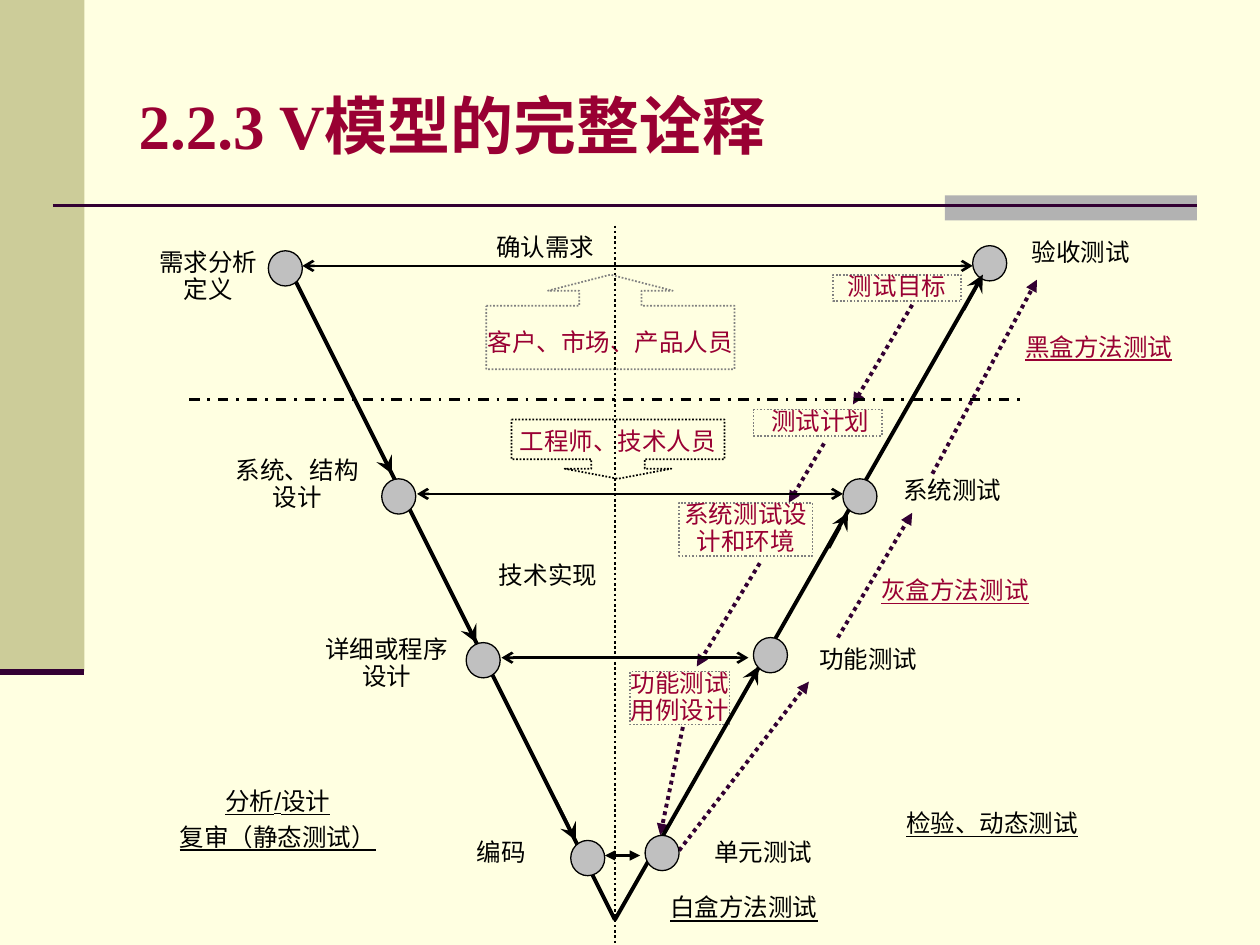
from pptx import Presentation
from pptx.dml.color import RGBColor
from pptx.enum.dml import MSO_LINE
from pptx.enum.shapes import MSO_CONNECTOR, MSO_SHAPE
from pptx.enum.text import MSO_ANCHOR, MSO_AUTO_SIZE, PP_ALIGN
from pptx.oxml.ns import qn
from pptx.util import Inches, Pt
from lxml.etree import SubElement

CREAM = RGBColor(0xFF, 0xFF, 0xE1)
KHAKI = RGBColor(0xCC, 0xCC, 0x99)
SILVER = RGBColor(0xB2, 0xB2, 0xB2)
NODE_GRAY = RGBColor(0xC0, 0xC0, 0xC0)
GRAY = RGBColor(0x80, 0x80, 0x80)
PLUM = RGBColor(0x33, 0x00, 0x33)
CRIMSON = RGBColor(0x99, 0x00, 0x33)
BLACK = RGBColor(0, 0, 0)

COLUMNS, ROWS = 100, 75
DOTTED = MSO_LINE.ROUND_DOT


class DiagramSlide:
    body_font = "Arial"
    title_font = "Times New Roman"
    callout_font = "Montserrat"
    body_size = 14
    line_height = 2.1
    node_size = (2.7, 2.8)

    def __init__(self, presentation):
        self.column = presentation.slide_width / COLUMNS
        self.row = presentation.slide_height / ROWS
        self.slide = presentation.slides.add_slide(presentation.slide_layouts[5])
        fill = self.slide.background.fill
        fill.solid()
        fill.fore_color.rgb = CREAM

    def point(self, column, row):
        return round(column * self.column), round(row * self.row)

    def box(self, column, row, width, height):
        return *self.point(column, row), *self.point(width, height)

    def add_run(self, paragraph, text, color, font, size, bold=False, underline=False):
        run = paragraph.add_run()
        run.text = text
        run.font.name = font
        run.font.size = Pt(size)
        run.font.bold = bold
        run.font.underline = underline
        run.font.color.rgb = color

    def title(self, text, box):
        shape = self.slide.shapes.title
        shape.left, shape.top, shape.width, shape.height = self.box(*box)
        shape.text_frame.auto_size = MSO_AUTO_SIZE.NONE
        shape.text_frame.vertical_anchor = MSO_ANCHOR.MIDDLE
        paragraph = shape.text_frame.paragraphs[0]
        paragraph.alignment = PP_ALIGN.LEFT
        paragraph.line_spacing = 1.2
        self.add_run(paragraph, text, CRIMSON, self.title_font, 36, bold=True)

    def shape(self, kind, box, fill=None, outline=None, width=1, dash=None):
        shape = self.slide.shapes.add_shape(kind, *self.box(*box))
        shape.shadow.inherit = False
        if fill is None:
            shape.fill.background()
        else:
            shape.fill.solid()
            shape.fill.fore_color.rgb = fill
        if outline is None:
            shape.line.fill.background()
        else:
            shape.line.color.rgb = outline
            shape.line.width = Pt(width)
            shape.line.dash_style = dash
        return shape

    def line(self, start, end, color=BLACK, width=1.5, dash=None, head=None, tail=None, size="med"):
        connector = self.slide.shapes.add_connector(
            MSO_CONNECTOR.STRAIGHT, *self.point(*start), *self.point(*end))
        connector.line.color.rgb = color
        connector.line.width = Pt(width)
        connector.line.dash_style = dash
        outline = connector._element.spPr.find(qn("a:ln"))
        for tag, kind in (("a:headEnd", head), ("a:tailEnd", tail)):
            if kind:
                SubElement(outline, qn(tag), type=kind, w=size, len=size)
        SubElement(connector._element.spPr, qn("a:effectLst"))

    def add_lines(self, frame, lines, color, underline=False, spacing=0.9, before=0):
        frame.word_wrap = True
        frame.vertical_anchor = MSO_ANCHOR.TOP
        frame.margin_left = frame.margin_right = frame.margin_top = frame.margin_bottom = 0
        for index, text in enumerate(lines):
            paragraph = frame.add_paragraph() if index else frame.paragraphs[0]
            paragraph.alignment = PP_ALIGN.CENTER
            paragraph.line_spacing = spacing
            paragraph.space_before = Pt(before)
            self.add_run(paragraph, text, color, self.body_font, self.body_size, underline=underline)

    def label(self, text, column, row, width=11, lines=1, color=BLACK, underline=False):
        box = self.box(column, row, width, lines * self.line_height)
        textbox = self.slide.shapes.add_textbox(*box)
        self.add_lines(textbox.text_frame, [text], color, underline)

    def review_note(self, lines, box):
        textbox = self.slide.shapes.add_textbox(*self.box(*box))
        self.add_lines(textbox.text_frame, lines, BLACK, True, 1.0, 3.5)

    def artifact(self, text, column, row, width, lines):
        box = (column, row, width, lines * self.line_height)
        shape = self.shape(MSO_SHAPE.RECTANGLE, box, outline=GRAY, dash=DOTTED)
        self.add_lines(shape.text_frame, [text], CRIMSON)

    def callout(self, kind, text, box, outline, arrow, anchor, spacing=None):
        shape = self.shape(kind, box, outline=outline, dash=DOTTED)
        for index, value in enumerate((arrow, arrow, 0.17, 0.67)):
            shape.adjustments[index] = value
        frame = shape.text_frame
        frame.word_wrap = False
        frame.vertical_anchor = anchor
        paragraph = frame.paragraphs[0]
        paragraph.alignment = PP_ALIGN.CENTER
        paragraph.line_spacing = spacing
        self.add_run(paragraph, text, CRIMSON, self.callout_font, self.body_size)

    def node(self, column, row):
        self.shape(MSO_SHAPE.OVAL, (column, row, *self.node_size), NODE_GRAY, BLACK, 0.75)


def main():
    presentation = Presentation()
    presentation.slide_width, presentation.slide_height = Inches(10), Inches(7.5)
    diagram = DiagramSlide(presentation)

    diagram.shape(MSO_SHAPE.RECTANGLE, (0, 0, 6.7, 53.3), KHAKI)
    diagram.shape(MSO_SHAPE.RECTANGLE, (75, 15.5, 20, 2), SILVER)
    diagram.line((4.2, 16.3), (95, 16.3), PLUM)
    diagram.line((0, 53.3), (6.7, 53.3), PLUM, 3.5)
    diagram.title("2.2.3 V模型的完整诠释", (10, 3, 85, 12.5))

    diagram.review_note(["分析/设计", "复审（静态测试）"], (12.2, 62.4, 19.7, 5.2))
    for text, column, row, width, color in (
        ("检验、动态测试", 68.9, 64.4, 19.7, BLACK),
        ("黑盒方法测试", 80.3, 26.6, 13.8, CRIMSON),
        ("灰盒方法测试", 68.5, 45.9, 14.6, CRIMSON),
        ("白盒方法测试", 49.2, 71.1, 19.7, BLACK),
    ):
        diagram.label(text, column, row, width, color=color, underline=True)

    for artifact in (
        ("测试目标", 66.1, 21.8, 10.2, 1),
        (" 测试计划", 59.8, 32.5, 10.2, 1),
        ("系统测试设计和环境", 53.9, 39.9, 10.6, 2),
        ("功能测试用例设计", 50, 53.3, 7.9, 2),
    ):
        diagram.artifact(*artifact)

    diagram.callout(MSO_SHAPE.DOWN_ARROW_CALLOUT, "工程师、技术人员",
                    (40.6, 33.3, 16.9, 4.7), BLACK, 0.9, MSO_ANCHOR.TOP)
    diagram.callout(MSO_SHAPE.UP_ARROW_CALLOUT, "客户、市场、产品人员",
                    (38.6, 21.8, 19.7, 7.5), GRAY, 0.66, MSO_ANCHOR.MIDDLE, Pt(22))

    for start, end in (
        ((72.4, 24.2), (67.7, 32.1)),
        ((65.4, 35.2), (62.6, 39.9)),
        ((60.3, 44.7), (55.3, 52.9)),
        ((54.2, 57.7), (52.4, 66.3)),
        ((53.9, 67.5), (64.2, 54.1)),
        ((66.5, 50.6), (72.4, 40.7)),
        ((74, 37.6), (82.3, 22.2)),
    ):
        diagram.line(start, end, PLUM, 2.25, DOTTED, tail="triangle")

    vertex = (48.8, 73)
    for top in ((23.2, 21.8), (79.1, 19.9)):
        diagram.line(top, vertex, width=2.25)
    for node in (
        (21.3, 19.9), (30.3, 38), (37, 51), (45.3, 66.7),
        (51.2, 66.3), (59.8, 50.6), (66.9, 38), (77.2, 19.5),
    ):
        diagram.node(*node)

    for left, right, row, arrow in (
        (48, 50.8, 67.9, "triangle"),
        (39.8, 59.4, 52.2, "arrow"),
        (33.1, 66.9, 39.2, "arrow"),
        (24, 77.2, 21.1, "arrow"),
    ):
        diagram.line((left, row), (right, row), head=arrow, tail=arrow)
    diagram.line((15, 31.7), (81.5, 31.7), dash=MSO_LINE.DASH_DOT)
    diagram.line((vertex[0], 17.9), (vertex[0], ROWS), dash=DOTTED)

    for label in (
        ("需求分析定义", 12.6, 19.9, 7.9, 2),
        ("系统、结构设计", 18.1, 36.4, 11, 2),
        ("详细或程序设计", 25.2, 50.6, 11, 2),
        ("编码", 34.3, 66.7),
        ("单元测试", 55.1, 66.7),
        ("功能测试", 63.4, 51.4),
        ("系统测试", 70.1, 38),
        ("验收测试", 80.3, 19.1),
        ("确认需求", 37.8, 18.7),
        ("技术实现", 38.6, 44.7, 9.8),
    ):
        diagram.label(*label)

    descending = (1.6, 3.2), ((31.1, 37.6), (37.8, 51), (45.7, 66.7))
    ascending = (1.5, -2.8), ((60.2, 52.9), (67.3, 40.7), (78, 21.8))
    for (across, down), tips in (descending, ascending):
        for column, row in tips:
            diagram.line((column - across, row - down), (column, row), tail="stealth", size="lg")

    presentation.save("out.pptx")


if __name__ == "__main__":
    main()
